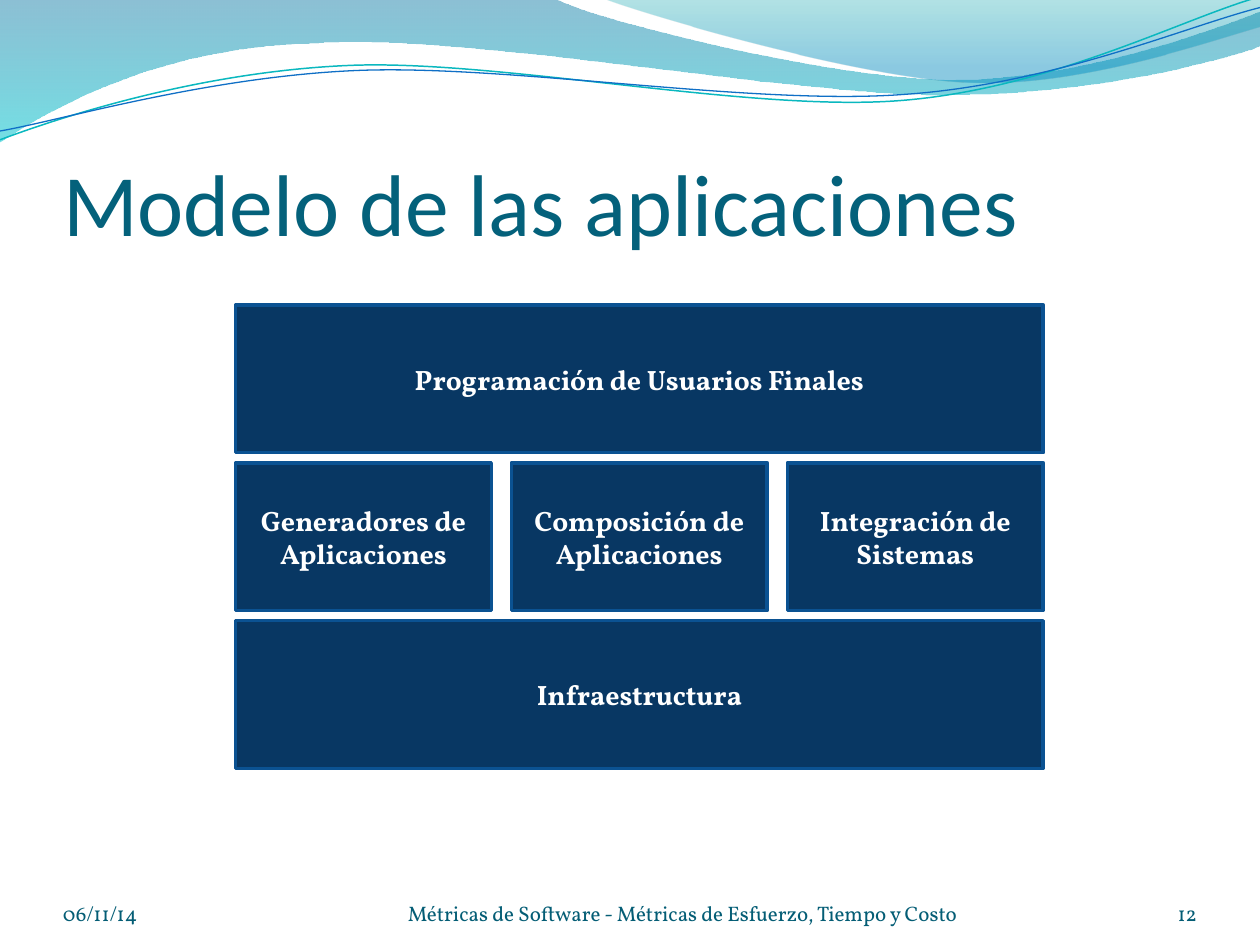
from pptx import Presentation
from pptx.dml.color import RGBColor
from pptx.enum.shapes import MSO_SHAPE
from pptx.enum.text import MSO_ANCHOR, MSO_AUTO_SIZE, PP_ALIGN
from pptx.oxml import parse_xml
from pptx.oxml.ns import nsdecls, qn
from pptx.util import Inches, Pt

TITLE_TEAL = RGBColor(0x04, 0x61, 0x7B)
FOOTER_TEAL = RGBColor(0x04, 0x5D, 0x75)
BLOCK_NAVY = RGBColor(0x08, 0x37, 0x63)
BLOCK_EDGE = RGBColor(0x0B, 0x52, 0x92)
WAVE_TEAL = RGBColor(0x0A, 0xB8, 0xBF)
WAVE_BLUE = RGBColor(0x0F, 0x6F, 0xC6)
BAND_BLUE = RGBColor(0x00, 0x74, 0xA1)
BAND_CYAN = RGBColor(0x00, 0xC6, 0xCF)
CREST_GREEN = RGBColor(0x00, 0xA1, 0xA9)
CREST_BLUE = RGBColor(0x00, 0x8B, 0xBF)
WHITE = RGBColor(0xFF, 0xFF, 0xFF)
HEADING_FONT = "Calibri"
BODY_FONT = "Vollkorn"

# Outlines in inches: two numbers are a straight step, six a Bezier step
BAND = [(0, 0), (4.4, -0.01), (4.76, 0.17, 6.64, 0.63, 7.58, 0.63),
        (8.53, 0.63, 9.58, 0.26, 10, 0.09), (10.01, 0.36),
        (9.83, 0.44, 8.7, 0.76, 7.46, 0.75), (6.22, 0.75, 3.82, 0.28, 2.57, 0.34),
        (1.29, 0.36, 0.46, 0.83, -0.01, 1.13), (0, 0)]
CREST = [(4.79, -0.01), (5.09, 0.11, 6.82, 0.62, 7.69, 0.65),
         (8.56, 0.69, 9.61, 0.32, 10, 0.21), (10, 0), (4.79, -0.01)]
TEAL_WAVE = [(0, 1.11), (0.48, 0.93, 1.58, 0.57, 2.77, 0.52),
             (3.95, 0.47, 5.93, 0.89, 7.13, 0.8), (8.33, 0.71, 9.38, 0.15, 9.98, -0.02)]
BLUE_WAVE = [(0, 1.04), (0.47, 0.96, 1.64, 0.61, 2.83, 0.56),
             (4.03, 0.51, 5.97, 0.84, 7.17, 0.75), (8.36, 0.67, 9.41, 0.21, 10, 0.06)]


def add_outline(slide, outline, left, top, closed):
    """Draw a freeform through the end points, then bend its Bezier steps."""
    points = [[(left + Inches(x), top + Inches(y)) for x, y in zip(step[::2], step[1::2])]
              for step in outline]
    builder = slide.shapes.build_freeform(*points[0][0], scale=1.0)
    builder.add_line_segments([step[-1] for step in points[1:]], close=closed)
    curve = builder.convert_to_shape()
    curve.shadow.inherit = False
    straight_steps = list(curve.element.spPr.iter(qn("a:lnTo")))
    for straight, step in zip(straight_steps, points[1:]):
        if len(step) == 3:
            handles = "".join(f'<a:pt x="{x - curve.left}" y="{y - curve.top}"/>'
                              for x, y in step)
            straight.getparent().replace(straight, parse_xml(
                f'<a:cubicBezTo {nsdecls("a")}>{handles}</a:cubicBezTo>'))
    return curve


def fill_gradient(curve, stops):
    """Top-to-bottom gradient of (position %, colour, opacity %)."""
    curve.fill.background()
    stop_list = "".join(
        f'<a:gs pos="{position * 1000}"><a:srgbClr val="{color}">'
        f'<a:alpha val="{opacity * 1000}"/></a:srgbClr></a:gs>'
        for position, color, opacity in stops)
    properties = curve.element.spPr
    properties.replace(properties.find(qn("a:noFill")), parse_xml(
        f'<a:gradFill {nsdecls("a")}><a:gsLst>{stop_list}</a:gsLst>'
        '<a:lin ang="5400000" scaled="0"/></a:gradFill>'))


def add_waves(slide, left, top):
    # Shaded bands
    for outline, stops in (
            (BAND, [(0, BAND_BLUE, 45), (100, BAND_CYAN, 55)]),
            (CREST, [(0, CREST_GREEN, 30), (80, CREST_BLUE, 45)])):
        band = add_outline(slide, outline, left, top, True)
        fill_gradient(band, stops)
        band.line.fill.background()
    # Thin wave lines
    for outline, color, width in ((TEAL_WAVE, WAVE_TEAL, 0.85), (BLUE_WAVE, WAVE_BLUE, 0.75)):
        wave = add_outline(slide, outline, left, top, False)
        wave.fill.background()
        wave.line.color.rgb = color
        wave.line.width = Pt(width)


def add_text(paragraph, text, font, size, color, align, bold=False):
    paragraph.alignment = align
    run = paragraph.add_run()
    run.text = text
    run.font.name = font
    run.font.size = Pt(size)
    run.font.color.rgb = color
    run.font.bold = bold


def set_frame(frame, anchor, top_inset=0):
    frame.word_wrap = True
    frame.auto_size = MSO_AUTO_SIZE.NONE
    frame.vertical_anchor = anchor
    frame.margin_left = frame.margin_right = frame.margin_bottom = 0
    frame.margin_top = top_inset


def set_title(slide, left, top, width, height):
    title = slide.shapes.title
    title.left, title.top, title.width, title.height = left, top, width, height
    set_frame(title.text_frame, MSO_ANCHOR.BOTTOM, Inches(0.05))
    add_text(title.text_frame.paragraphs[0], "Modelo de las aplicaciones",
             HEADING_FONT, 50, TITLE_TEAL, PP_ALIGN.LEFT)


def add_block(slide, text, left, top, width, height):
    block = slide.shapes.add_shape(MSO_SHAPE.RECTANGLE, left, top, width, height)
    block.shadow.inherit = False
    block.fill.solid()
    block.fill.fore_color.rgb = BLOCK_NAVY
    block.line.color.rgb = BLOCK_EDGE
    block.line.width = Pt(2)
    block.text_frame.word_wrap = True
    block.text_frame.vertical_anchor = MSO_ANCHOR.MIDDLE
    add_text(block.text_frame.paragraphs[0], text, BODY_FONT, 16, WHITE,
             PP_ALIGN.CENTER, bold=True)


def add_layers(slide, left, top, width, height):
    """Stack the layers; the blocks of one layer share its width equally."""
    layers = [["Programación de Usuarios Finales"],
              ["Generadores de Aplicaciones", "Composición de Aplicaciones",
               "Integración de Sistemas"],
              ["Infraestructura"]]
    row_gap, column_gap = Inches(0.08), Inches(0.16)
    row_height = (height - row_gap * (len(layers) - 1)) // len(layers)
    for row, layer in enumerate(layers):
        block_width = (width - column_gap * (len(layer) - 1)) // len(layer)
        for column, text in enumerate(layer):
            add_block(slide, text, left + column * (block_width + column_gap),
                      top + row * (row_height + row_gap), block_width, row_height)


def add_footer(slide, left, top, width, height):
    date_width, number_width = Inches(2.33), Inches(0.83)
    for text, offset, part_width, align in (
            ("06/11/14", 0, date_width, PP_ALIGN.LEFT),
            ("Métricas de Software - Métricas de Esfuerzo, Tiempo y Costo",
             Inches(2.42), Inches(5), PP_ALIGN.CENTER),
            ("12", width - number_width, number_width, PP_ALIGN.RIGHT)):
        part = slide.shapes.add_textbox(left + offset, top, part_width, height)
        set_frame(part.text_frame, MSO_ANCHOR.BOTTOM)
        add_text(part.text_frame.paragraphs[0], text, BODY_FONT, 12, FOOTER_TEAL, align)


def main():
    deck = Presentation()
    deck.slide_width, deck.slide_height = Inches(10), Inches(7.5)
    slide = deck.slides.add_slide(deck.slide_layouts.get_by_name("Title Only"))
    add_waves(slide, 0, 0)
    set_title(slide, Inches(0.5), Inches(0.77), Inches(9), Inches(1.25))
    add_layers(slide, Inches(1.87), Inches(2.42), Inches(6.41), Inches(3.68))
    add_footer(slide, Inches(0.5), Inches(6.95), Inches(9), Inches(0.4))
    deck.save("out.pptx")


if __name__ == "__main__":
    main()
